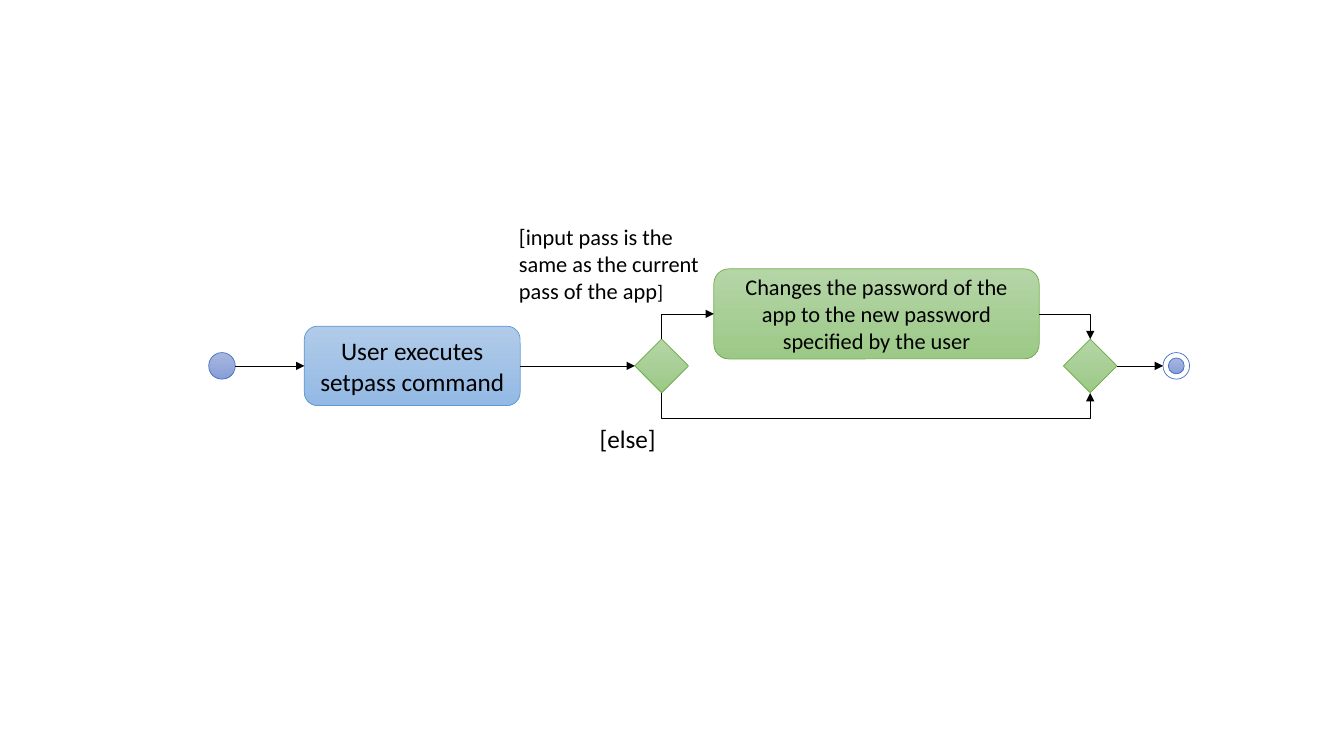
from lxml import etree
from pptx import Presentation
from pptx.dml.color import RGBColor
from pptx.enum.shapes import MSO_CONNECTOR, MSO_SHAPE
from pptx.enum.text import MSO_ANCHOR, PP_ALIGN
from pptx.oxml.ns import qn
from pptx.util import Cm, Pt

STRAIGHT, ELBOW = MSO_CONNECTOR.STRAIGHT, MSO_CONNECTOR.ELBOW
OVAL, DIAMOND, ROUNDED = MSO_SHAPE.OVAL, MSO_SHAPE.DIAMOND, MSO_SHAPE.ROUNDED_RECTANGLE
LEFT, CENTER = PP_ALIGN.LEFT, PP_ALIGN.CENTER
TOP, MIDDLE = MSO_ANCHOR.TOP, MSO_ANCHOR.MIDDLE

BLACK = RGBColor(0x00, 0x00, 0x00)
WHITE = RGBColor(0xFF, 0xFF, 0xFF)
# Each style: gradient top, gradient bottom, outline
INDIGO = RGBColor(0xA8, 0xB7, 0xDF), RGBColor(0x88, 0x9E, 0xD7), RGBColor(0x44, 0x72, 0xC4)
BLUE = RGBColor(0xB1, 0xCB, 0xE9), RGBColor(0x93, 0xB9, 0xE4), RGBColor(0x5B, 0x9B, 0xD5)
GREEN = RGBColor(0xB5, 0xD5, 0xA7), RGBColor(0x9C, 0xC9, 0x87), RGBColor(0x70, 0xAD, 0x47)
PLAIN = WHITE, WHITE, INDIGO[2]

FONT = "Calibri"
LINE_WIDTH = Pt(0.5)
CIRCLE, CORE, BRANCH = Cm(0.67), Cm(0.4), Cm(1.35)


def write(shape, *spans, align=LEFT, anchor=TOP):
    """Fill one paragraph with (text, size) spans."""
    frame = shape.text_frame
    frame.word_wrap = True
    frame.vertical_anchor = anchor
    para = frame.paragraphs[0]
    para.alignment = align
    for text, size in spans:
        span = para.add_run()
        span.text = text
        span.font.name = FONT
        span.font.size = Pt(size)
        span.font.color.rgb = BLACK


def add_node(shapes, kind, left, middle, width, height, style):
    """Add a shape that is centred vertically on middle."""
    node = shapes.add_shape(kind, left, middle - height // 2, width, height)
    node.shadow.inherit = False
    upper, lower, outline = style
    if upper == lower:
        node.fill.solid()
        node.fill.fore_color.rgb = upper
    else:
        node.fill.gradient()
        node.fill.gradient_angle = 270
        for stop, color in zip(node.fill.gradient_stops, (upper, lower)):
            stop.color.rgb = color
    node.line.color.rgb = outline
    node.line.width = LINE_WIDTH
    return node


def add_arrow(page, kind, start, end):
    arrow = page.shapes.add_connector(kind, *start, *end)
    arrow.line.color.rgb = BLACK
    arrow.line.width = LINE_WIDTH
    properties = arrow._element.spPr
    etree.SubElement(properties.find(qn("a:ln")), qn("a:tailEnd"), type="triangle")
    etree.SubElement(properties, qn("a:effectLst"))
    return arrow


def add_corner(page, start, end, preset="bentConnector2", turn=None, drop=None):
    """Add a bent arrow; turn holds the rotation and flips of a vertical start."""
    arrow = add_arrow(page, ELBOW, start, end)
    geometry = arrow._element.spPr.find(qn("a:prstGeom"))
    geometry.set("prst", preset)
    if turn:
        frame = arrow._element.spPr.find(qn("a:xfrm"))
        for flip in ("flipH", "flipV"):
            frame.attrib.pop(flip, None)
        for name, value in turn.items():
            frame.set(name, value)
        across, down = abs(end[0] - start[0]), abs(end[1] - start[1])
        arrow.left = (start[0] + end[0] - down) // 2
        arrow.top = (start[1] + end[1] - across) // 2
        arrow.width, arrow.height = down, across
        if drop:
            guide = f"val {round(drop / down * 100000)}"
            etree.SubElement(geometry.find(qn("a:avLst")), qn("a:gd"), name="adj1", fmla=guide)


def add_label(page, left, top, width, height, *spans):
    write(page.shapes.add_textbox(left, top, width, height), *spans)


def draw_final_node(page, left, middle):
    group = page.shapes.add_group_shape()
    add_node(group.shapes, OVAL, left, middle, CIRCLE, CIRCLE, PLAIN)
    inset = (CIRCLE - CORE) // 2
    add_node(group.shapes, OVAL, left + inset, middle, CORE, CORE, INDIGO)


def draw_activity_diagram(page, left, top):
    axis, upper_axis = top + Cm(3.71), top + Cm(2.4)
    final_left = left + Cm(24.05)

    # Nodes
    add_node(page.shapes, OVAL, left, axis, CIRCLE, CIRCLE, INDIGO)
    command = add_node(page.shapes, ROUNDED, left + Cm(2.41), axis, Cm(5.44), Cm(2), BLUE)
    write(command, ("User executes setpass command", 18), align=CENTER, anchor=MIDDLE)
    change = add_node(page.shapes, ROUNDED, left + Cm(12.73), upper_axis, Cm(8.2), Cm(2.27), GREEN)
    write(change, ("Changes the password of the app to the new password specified by the user", 16),
          align=CENTER, anchor=MIDDLE)
    decision, merge = [
        add_node(page.shapes, DIAMOND, left + offset, axis, BRANCH, BRANCH, GREEN)
        for offset in (Cm(10.74), Cm(21.54))
    ]
    draw_final_node(page, final_left, axis)

    # Guards
    add_label(page, left + Cm(7.57), top, Cm(5.21), Cm(2.31),
              ("[input pass is the same as the current pass of the app", 16), ("]", 14))
    add_label(page, left + Cm(9.6), top + Cm(5.03), Cm(2.36), Cm(1.02), ("[else]", 18))

    # Straight flow along the axis
    circle_edge = left + CIRCLE, axis
    final_edge = final_left, axis
    add_arrow(page, STRAIGHT, circle_edge, (command.left, axis)).end_connect(command, 1)
    to_decision = add_arrow(page, STRAIGHT, circle_edge, final_edge)
    to_decision.begin_connect(command, 3)
    to_decision.end_connect(decision, 1)
    add_arrow(page, STRAIGHT, circle_edge, final_edge).begin_connect(merge, 3)

    # Branches
    fork, join = decision.left + BRANCH // 2, merge.left + BRANCH // 2
    peak, foot = decision.top, decision.top + BRANCH
    add_corner(page, (fork, peak), (change.left, upper_axis),
               turn={"rot": "5400000", "flipH": "1", "flipV": "1"})
    add_corner(page, (change.left + change.width, upper_axis), (join, peak))
    add_corner(page, (fork, foot), (join, foot + Cm(0.01)), preset="bentConnector3",
               turn={"rot": "16200000", "flipH": "1"}, drop=Cm(0.64))


def main():
    deck = Presentation()
    deck.slide_width, deck.slide_height = Cm(33.87), Cm(19.05)
    page = deck.slides.add_slide(deck.slide_layouts[6])
    draw_activity_diagram(page, Cm(5.26), Cm(5.51))
    deck.save("out.pptx")


if __name__ == "__main__":
    main()
